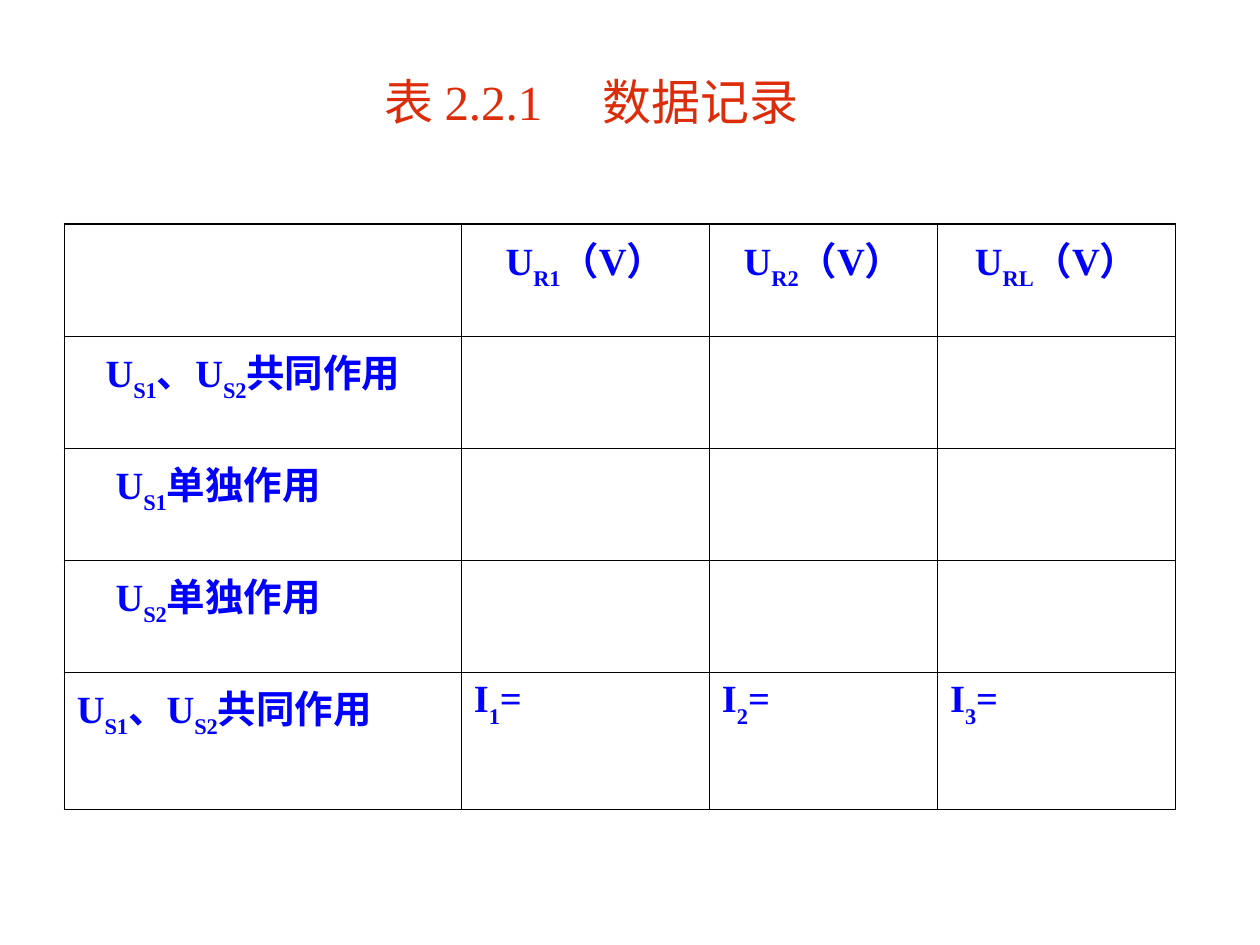
from dataclasses import dataclass

from lxml.etree import SubElement
from pptx import Presentation
from pptx.dml.color import RGBColor
from pptx.enum.text import MSO_ANCHOR, MSO_AUTO_SIZE, PP_ALIGN
from pptx.oxml.ns import qn
from pptx.util import Cm, Pt


@dataclass(frozen=True)
class Theme:
    """Colours, type sizes and font of the slide."""
    face: str = "Times New Roman"
    red: str = "DD2C09"
    blue: str = "0000FF"
    black: str = "000000"
    white: str = "FFFFFF"
    head: int = 28
    body: int = 22


THEME = Theme()
WIDTHS = (8, 5, 4.6, 4.8)
HEIGHTS = (2.26, 2.26, 2.26, 2.26, 2.76)
PAD = 0.25
LABELS = (
    ("U|S1|、U|S2|共同作用", 0.58),
    ("U|S1|单独作用", 0.78),
    ("U|S2|单独作用", 0.78),
    ("U|S1|、U|S2|共同作用", 0),
)


def write(frame, text, size=THEME.body, color=THEME.blue, bold=True,
          align=PP_ALIGN.LEFT, tab=None):
    """Fill a frame with one paragraph; every second part between bars is subscript."""
    para = frame.paragraphs[0]
    para.alignment = align
    if tab:
        stops = SubElement(para._p.get_or_add_pPr(), qn("a:tabLst"))
        SubElement(stops, qn("a:tab"), pos=str(Cm(tab)), algn="l")
    for i, part in enumerate(text.split("|")):
        run = para.add_run()
        run.text = part
        font = run.font
        font.name, font.size, font.bold = THEME.face, Pt(size), bold
        font.color.rgb = RGBColor.from_string(color)
        if i % 2:
            run._r.get_or_add_rPr().set("baseline", "-30000")


def frame_cell(cell):
    """Give a cell thin black borders and a white fill."""
    props = cell._tc.get_or_add_tcPr()
    for side in "LRTB":
        line = SubElement(props, qn(f"a:ln{side}"), w=str(Pt(1)))
        fill = SubElement(line, qn("a:solidFill"))
        SubElement(fill, qn("a:srgbClr"), val=THEME.black)
    cell.fill.solid()
    cell.fill.fore_color.rgb = RGBColor.from_string(THEME.white)


def add_title(slide):
    """Place and write the title."""
    title = slide.shapes.title
    title.left, title.top = Cm(7.5), Cm(1.32)
    title.width, title.height = Cm(9.9), Cm(2.62)
    frame = title.text_frame
    frame.word_wrap = True
    frame.auto_size = MSO_AUTO_SIZE.NONE
    frame.vertical_anchor = MSO_ANCHOR.TOP
    write(frame, "表 2.2.1\t数据记录", size=THEME.head, color=THEME.red,
          bold=False, tab=4.4)


def add_grid(slide):
    """Add the table of readings."""
    grid = slide.shapes.add_table(
        len(HEIGHTS), len(WIDTHS), Cm(1.3), Cm(4.52),
        Cm(sum(WIDTHS)), Cm(sum(HEIGHTS))).table
    grid.first_row = grid.horz_banding = False
    for col, width in zip(grid.columns, WIDTHS):
        col.width = Cm(width)
    for row, height in zip(grid.rows, HEIGHTS):
        row.height = Cm(height)
    for cell in grid.iter_cells():
        frame_cell(cell)
    last = len(HEIGHTS) - 1
    for col, name in enumerate(("R1", "R2", "RL"), 1):
        write(grid.cell(0, col).text_frame, f"U|{name}|（V）", align=PP_ALIGN.CENTER)
        write(grid.cell(last, col).text_frame, f"I|{col}|=")
    for row, (text, indent) in enumerate(LABELS, 1):
        cell = grid.cell(row, 0)
        cell.margin_left = Cm(PAD + indent)
        write(cell.text_frame, text)


def main():
    """Build and save the slide."""
    deck = Presentation()
    deck.slide_width, deck.slide_height = Cm(25.4), Cm(19.05)
    slide = deck.slides.add_slide(deck.slide_layouts[5])
    add_title(slide)
    add_grid(slide)
    deck.save("out.pptx")


if __name__ == "__main__":
    main()
